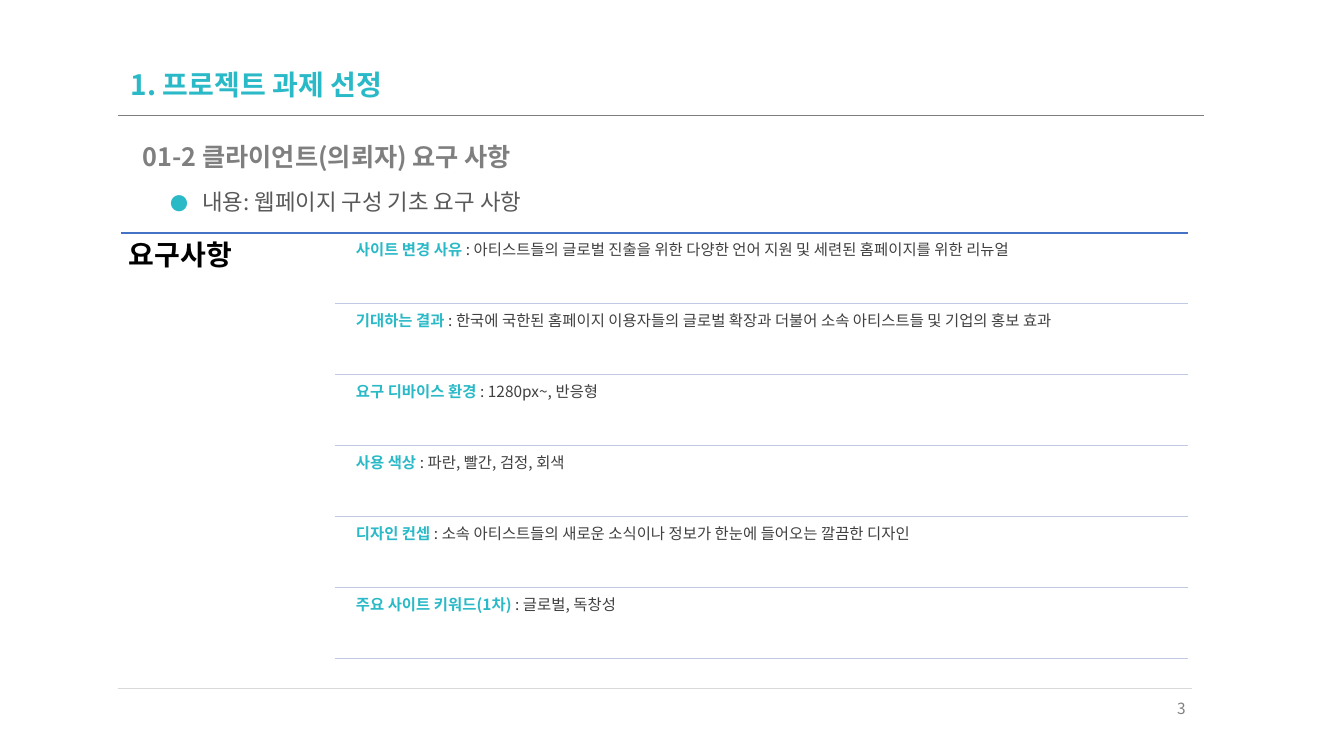
from lxml import etree
from pptx import Presentation
from pptx.dml.color import RGBColor
from pptx.enum.shapes import MSO_CONNECTOR
from pptx.enum.text import MSO_ANCHOR, MSO_AUTO_SIZE, PP_ALIGN
from pptx.oxml import parse_xml
from pptx.oxml.ns import nsdecls, qn
from pptx.util import Cm, Pt

STRAIGHT = MSO_CONNECTOR.STRAIGHT
TOP, MIDDLE = MSO_ANCHOR.TOP, MSO_ANCHOR.MIDDLE
NO_AUTO_SIZE = MSO_AUTO_SIZE.NONE
LEFT, RIGHT = PP_ALIGN.LEFT, PP_ALIGN.RIGHT

FONT = "Noto Sans CJK KR"
TEAL = RGBColor(0x2A, 0xB9, 0xC7)
BLACK = RGBColor(0x00, 0x00, 0x00)
DARK_GRAY = RGBColor(0x40, 0x40, 0x40)
BODY_GRAY = RGBColor(0x59, 0x59, 0x59)
SUBTITLE_GRAY = RGBColor(0x7F, 0x7F, 0x7F)
NUMBER_GRAY = RGBColor(0x80, 0x80, 0x80)
FOOTER_GRAY = RGBColor(0xD9, 0xD9, 0xD9)
BLUE = RGBColor(0x44, 0x72, 0xC4)
LAVENDER = RGBColor(0xC1, 0xC9, 0xE4)

presentation = Presentation()
presentation.slide_width, presentation.slide_height = Cm(33.87), Cm(19.05)
slide = presentation.slides.add_slide(presentation.slide_layouts[5])


def write_text(shape, box, runs, inset=(0.25, 0.13), anchor=TOP, **paragraph_format):
    """Place a text shape and fill it with runs of (text, size, colour, bold)."""
    shape.left, shape.top, shape.width, shape.height = map(Cm, box)
    side, edge = map(Cm, inset)
    frame_format = {
        "word_wrap": True, "auto_size": NO_AUTO_SIZE, "vertical_anchor": anchor,
        "margin_left": side, "margin_right": side,
        "margin_top": edge, "margin_bottom": edge,
    }
    for name, value in frame_format.items():
        setattr(shape.text_frame, name, value)
    paragraph = shape.text_frame.paragraphs[0]
    for name, value in {"alignment": LEFT, "line_spacing": 0.9, **paragraph_format}.items():
        setattr(paragraph, name, value)
    for text, size, color, bold in runs:
        run = paragraph.add_run()
        run.text = text
        for name, value in {"name": FONT, "size": Pt(size), "bold": bold}.items():
            setattr(run.font, name, value)
        run.font.color.rgb = color
        east_asian = etree.SubElement(run.font._element, qn("a:ea"))
        east_asian.set("typeface", FONT)
    return paragraph


def add_rule(left, right, top, color, width):
    """Draw a horizontal line without a shadow."""
    line = slide.shapes.add_connector(STRAIGHT, Cm(left), Cm(top), Cm(right), Cm(top))
    line.line.color.rgb = color
    line.line.width = Pt(width)
    etree.SubElement(line._element.spPr, qn("a:effectLst"))


# Header and footer rules
add_rule(2.97, 30.33, 2.9, SUBTITLE_GRAY, 0.5)
add_rule(2.97, 30.05, 17.35, FOOTER_GRAY, 0.5)

# Title
write_text(slide.shapes.title, (3.05, 1.57, 27.38, 1.24),
           [("1. 프로젝트 과제 선정", 20, TEAL, True)], anchor=MIDDLE)

# Subtitle
subtitle = slide.shapes.add_textbox(0, 0, 0, 0)
write_text(subtitle, (3.35, 3.53, 27.08, 0.86),
           [("01-2 클라이언트(의뢰자) 요구 사항", 18, SUBTITLE_GRAY, True)],
           space_before=Pt(10))

# Bulleted summary
summary = slide.shapes.add_textbox(0, 0, 0, 0)
bullet_paragraph = write_text(summary, (4.06, 4.7, 26.37, 0.86),
                              [("내용: 웹페이지 구성 기초 요구 사항", 16, BODY_GRAY, False)],
                              space_before=Pt(10))
bullet_properties = bullet_paragraph._p.get_or_add_pPr()
bullet_properties.set("marL", str(Cm(0.79)))
bullet_properties.set("indent", str(-Cm(0.79)))
for bullet_xml in (
    f'<a:buClr {nsdecls("a")}><a:srgbClr val="{TEAL}"/></a:buClr>',
    f'<a:buSzPct {nsdecls("a")} val="80000"/>',
    f'<a:buFont {nsdecls("a")} typeface="{FONT}"/>',
    f'<a:buChar {nsdecls("a")} char="●"/>',
):
    bullet_properties.append(parse_xml(bullet_xml))

# Requirements heading
add_rule(3.05, 29.95, 5.87, BLUE, 1)
heading = slide.shapes.add_textbox(0, 0, 0, 0)
write_text(heading, (3.05, 5.87, 5.38, 10.87),
           [("요구사항", 20, BLACK, True)], inset=(0.2, 0.2))

# Requirement rows, each closed by a rule
requirements = [
    ("사이트 변경 사유 ",
     ": 아티스트들의 글로벌 진출을 위한 다양한 언어 지원 및 세련된 홈페이지를 위한 리뉴얼"),
    ("기대하는 결과 ",
     ": 한국에 국한된 홈페이지 이용자들의 글로벌 확장과 더불어 소속 아티스트들 및 기업의 홍보 효과"),
    ("요구 디바이스 환경 ", ": 1280px~, 반응형"),
    ("사용 색상 ", ": 파란, 빨간, 검정, 회색"),
    ("디자인 컨셉 ",
     ": 소속 아티스트들의 새로운 소식이나 정보가 한눈에 들어오는 깔끔한 디자인"),
    ("주요 사이트 키워드(1차) ", ": 글로벌, 독창성"),
]
ROW_TOP, ROW_HEIGHT, ROW_PITCH = 5.97, 1.68, 1.79
for index, (label, detail) in enumerate(requirements):
    top = ROW_TOP + index * ROW_PITCH
    row = slide.shapes.add_textbox(0, 0, 0, 0)
    write_text(row, (8.84, top, 21.11, ROW_HEIGHT),
               [(label, 11, TEAL, True), (detail, 11, DARK_GRAY, False)],
               inset=(0.13, 0.13))
    add_rule(8.43, 29.95, top + ROW_HEIGHT, LAVENDER, 1)

# Page number
page_number = slide.shapes.add_textbox(0, 0, 0, 0)
write_text(page_number, (28.63, 17.48, 1.5, 1.02),
           [("3", 11, NUMBER_GRAY, False)], alignment=RIGHT, line_spacing=1.0)

presentation.save("out.pptx")
